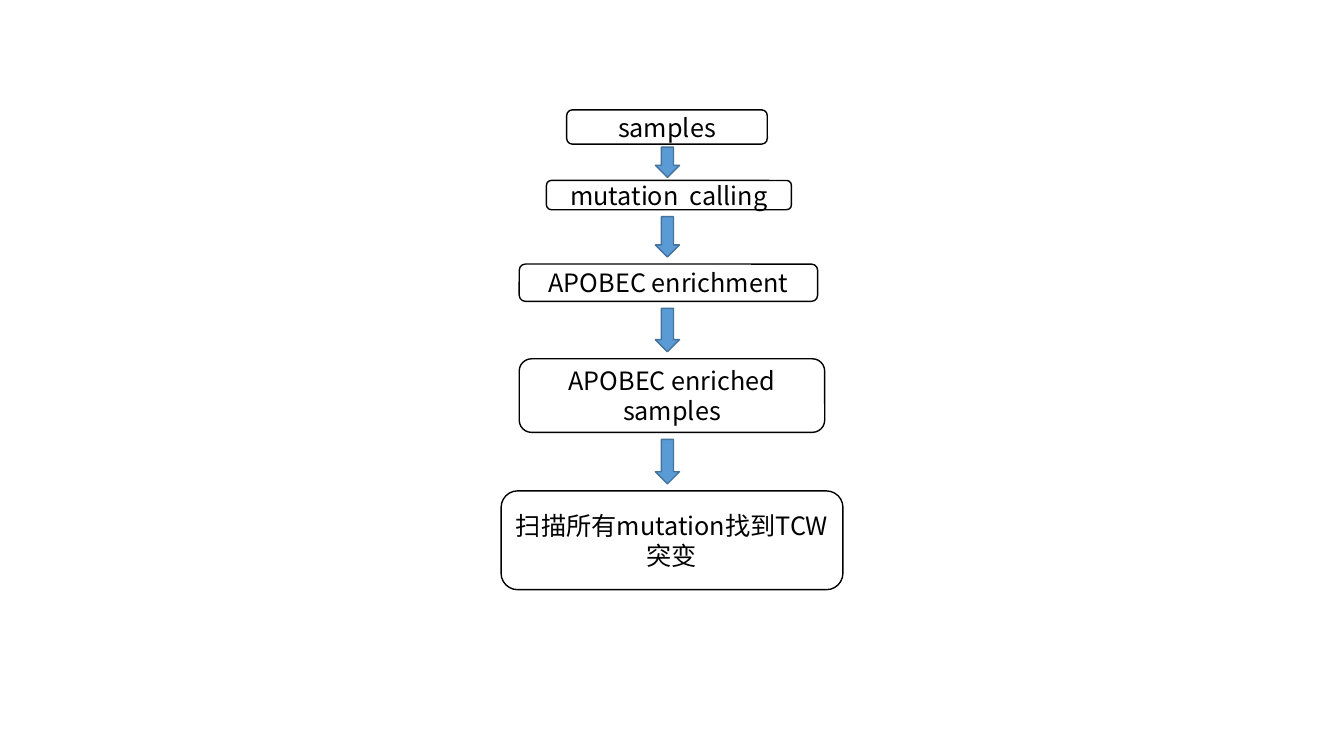
from lxml import etree
from pptx import Presentation
from pptx.dml.color import RGBColor
from pptx.enum.shapes import MSO_SHAPE
from pptx.enum.text import MSO_ANCHOR, PP_ALIGN
from pptx.oxml.ns import qn
from pptx.util import Inches, Pt

BOX = MSO_SHAPE.ROUNDED_RECTANGLE
ARROW = MSO_SHAPE.DOWN_ARROW
MIDDLE = MSO_ANCHOR.MIDDLE
CENTER = PP_ALIGN.CENTER

FONT = "Noto Sans CJK SC"
COLORS = {"box": "FFFFFF", "ink": "000000", "arrow": "5B9BD5", "arrow_edge": "43739E"}

STEPS = [
    ("samples", 5.62, 1.09, 1.99, 0.34),
    ("mutation  calling", 5.42, 1.79, 2.43, 0.29),
    ("APOBEC enrichment", 5.15, 2.62, 2.96, 0.37),
    ("APOBEC enriched samples", 5.15, 3.56, 3.03, 0.73),
    ("扫描所有mutation找到TCW突变", 4.97, 4.87, 3.39, 0.98),
]
ARROW_LEFT = 6.5
ARROW_WIDTH = 0.24
ARROW_GAPS = [0.03, 0.07, 0.07, 0.07]


def add_shape(slide, kind, box, fill, line):
    sp = slide.shapes.add_shape(kind, *[Inches(v) for v in box])
    sp.shadow.inherit = False
    sp.fill.solid()
    sp.fill.fore_color.rgb = RGBColor.from_string(COLORS[fill])
    sp.line.color.rgb = RGBColor.from_string(COLORS[line])
    sp.line.width = Pt(1)
    return sp


def add_label(sp, text):
    tf = sp.text_frame
    tf.word_wrap = True
    tf.vertical_anchor = MIDDLE
    p = tf.paragraphs[0]
    p.alignment = CENTER
    r = p.add_run()
    r.text = text
    r.font.size = Pt(18)
    r.font.name = FONT
    r.font.color.rgb = RGBColor.from_string(COLORS["ink"])
    ea = etree.SubElement(r.font._element, qn("a:ea"))
    ea.set("typeface", FONT)


def main():
    prs = Presentation()
    prs.slide_width = Inches(13.33)
    prs.slide_height = Inches(7.5)
    slide = prs.slides.add_slide(prs.slide_layouts[6])

    for text, *box in STEPS:
        add_label(add_shape(slide, BOX, box, "box", "ink"), text)

    for step, following, gap in zip(STEPS, STEPS[1:], ARROW_GAPS):
        top = step[2] + step[4] + gap
        height = following[2] - gap - top
        add_shape(slide, ARROW, (ARROW_LEFT, top, ARROW_WIDTH, height), "arrow", "arrow_edge")

    prs.save("out.pptx")


if __name__ == "__main__":
    main()
